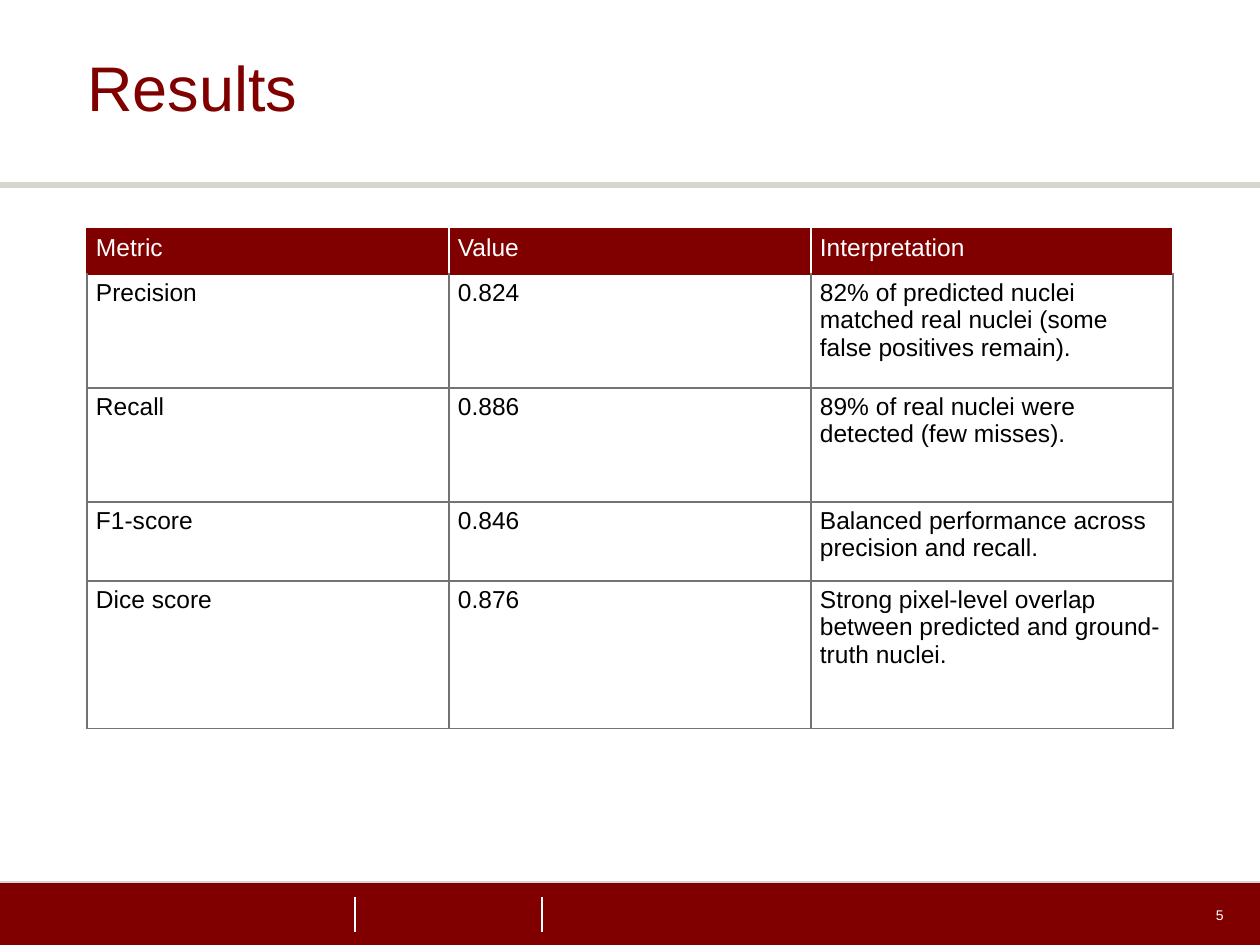
from lxml import etree
from pptx import Presentation
from pptx import util as u
from pptx.dml.color import RGBColor
from pptx.enum import shapes, text
from pptx.oxml import ns

EMU_PER_PX = 914400 / 126
COLOURS = {"maroon": "800000", "stone": "D6D6CE", "grey": "737373",
           "white": "FFFFFF", "black": "000000"}
COLUMN_WIDTH = 362
ROW_HEIGHTS = [45, 114, 114, 79, 148]
RESULTS = [
    ("Metric", "Value", "Interpretation"),
    ("Precision", "0.824",
     "82% of predicted nuclei matched real nuclei (some false positives remain)."),
    ("Recall", "0.886", "89% of real nuclei were detected (few misses)."),
    ("F1-score", "0.846", "Balanced performance across precision and recall."),
    ("Dice score", "0.876",
     "Strong pixel-level overlap between predicted and ground-truth nuclei."),
]


def px(length):
    """Turn pixels into EMU."""
    return u.Emu(round(length * EMU_PER_PX))


def rgb(name):
    """Look up a named colour."""
    return RGBColor.from_string(COLOURS[name])


def set_all(target, **values):
    """Set each given attribute on the target."""
    for name, value in values.items():
        setattr(target, name, value)


def write(frame, words, size, colour, **layout):
    """Put one formatted paragraph into a text frame."""
    para = frame.paragraphs[0]
    set_all(para, **layout)
    span = para.add_run()
    span.text = words
    set_all(span.font, name="Arial", size=u.Pt(size), bold=False)
    span.font.color.rgb = rgb(colour)


def add_line(page, start, end, colour, width=0.75):
    """Draw a straight line without a shadow."""
    line = page.shapes.add_connector(
        shapes.MSO_CONNECTOR.STRAIGHT, *map(px, start + end))
    line.line.color.rgb = rgb(colour)
    line.line.width = u.Pt(width)
    etree.SubElement(line._element.spPr, ns.qn("a:effectLst"))


def add_footer(page):
    """Draw the footer band, its rules and the page number."""
    band = page.shapes.add_shape(
        shapes.MSO_SHAPE.RECTANGLE, *map(px, (0, 882, 1260, 64)))
    band.shadow.inherit = False
    band.fill.solid()
    band.fill.fore_color.rgb = rgb("maroon")
    band.line.fill.background()
    add_line(page, (0, 882), (1260, 882), "stone")
    for x in (355, 542):
        add_line(page, (x, 897), (x, 932), "white")
    number = page.shapes.add_textbox(*map(px, (1173, 890, 63, 50)))
    set_all(number.text_frame, word_wrap=True, vertical_anchor=text.MSO_ANCHOR.MIDDLE)
    write(number.text_frame, "5", 8, "white", alignment=text.PP_ALIGN.RIGHT)


def add_title(page, words):
    """Place and format the title placeholder."""
    title = page.shapes.title
    set_all(title, left=px(87), top=px(0), width=px(1086), height=px(183))
    set_all(title.text_frame, margin_left=0, margin_right=0, word_wrap=True,
            auto_size=text.MSO_AUTO_SIZE.NONE,
            vertical_anchor=text.MSO_ANCHOR.MIDDLE)
    write(title.text_frame, words, 36, "maroon",
          alignment=text.PP_ALIGN.LEFT, line_spacing=0.9)


def add_border(cell, side, colour, width):
    """Add a solid border on one side of a cell."""
    line = etree.SubElement(cell._tc.get_or_add_tcPr(), ns.qn(f"a:ln{side}"),
                            w=str(u.Pt(width)))
    fill = etree.SubElement(line, ns.qn("a:solidFill"))
    etree.SubElement(fill, ns.qn("a:srgbClr"), val=COLOURS[colour])


def cell_borders(row, column):
    """Give colour and width of the borders for a cell position."""
    if row:
        borders = dict.fromkeys("LRTB", ("grey", 0.75))
        if row == 1:
            borders["T"] = ("maroon", 0.75)
        return borders
    borders = dict.fromkeys("LRTB", ("maroon", 0.75))
    borders["R"] = ("white", 1)
    if column:
        borders["L"] = ("white", 1)
    return borders


def add_results(page):
    """Build the table of metrics."""
    columns = len(RESULTS[0])
    table = page.shapes.add_table(
        len(RESULTS), columns, px(87), px(229),
        px(COLUMN_WIDTH * columns), px(sum(ROW_HEIGHTS))).table
    set_all(table, first_row=False, horz_banding=False)
    for column in table.columns:
        column.width = px(COLUMN_WIDTH)
    for r, (height, words) in enumerate(zip(ROW_HEIGHTS, RESULTS)):
        table.rows[r].height = px(height)
        for c, word in enumerate(words):
            cell = table.cell(r, c)
            set_all(cell, margin_left=px(9), margin_right=px(9),
                    margin_top=px(5), margin_bottom=px(5))
            for side, (colour, width) in cell_borders(r, c).items():
                add_border(cell, side, colour, width)
            cell.fill.solid()
            cell.fill.fore_color.rgb = rgb("white" if r else "maroon")
            write(cell.text_frame, word, 14, "black" if r else "white")


def main():
    """Build the results slide."""
    deck = Presentation()
    set_all(deck, slide_width=px(1260), slide_height=px(945))
    page = deck.slides.add_slide(deck.slide_layouts.get_by_name("Title Only"))
    add_footer(page)
    add_line(page, (0, 185), (1260, 185), "stone", 3)
    add_title(page, "Results")
    add_results(page)
    deck.save("out.pptx")


if __name__ == "__main__":
    main()
